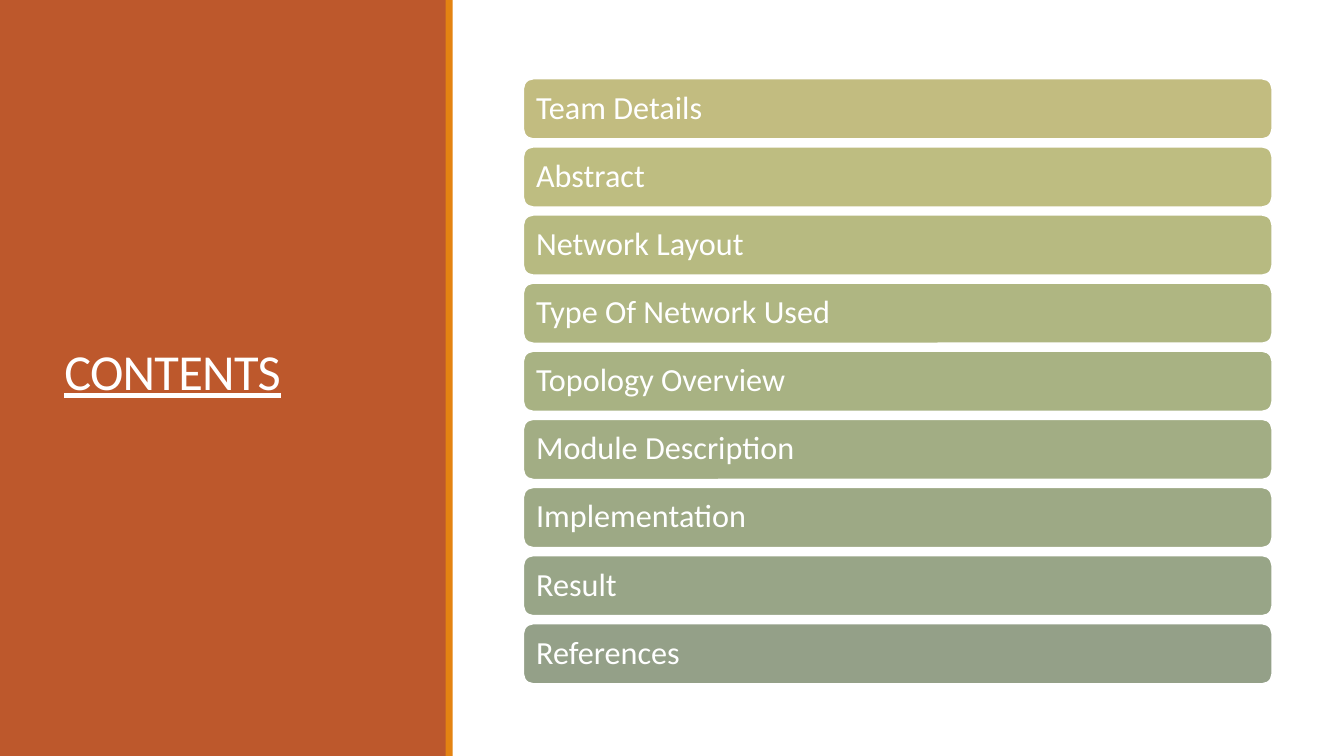
"""Build the contents slide: a title panel beside nine topic bars."""
from pptx import Presentation, util as u
from pptx.dml.color import RGBColor
from pptx.enum import shapes, text

WHITE = RGBColor(0xFF, 0xFF, 0xFF)
RUST = RGBColor(0xBD, 0x58, 0x2C)
ORANGE = RGBColor(0xE4, 0x83, 0x12)
TOPICS = [
    ("Team Details", RGBColor(0xC2, 0xBC, 0x80)),
    ("Abstract", RGBColor(0xBE, 0xBD, 0x81)),
    ("Network Layout", RGBColor(0xB7, 0xBA, 0x81)),
    ("Type Of Network Used", RGBColor(0xAF, 0xB6, 0x82)),
    ("Topology Overview", RGBColor(0xA8, 0xB2, 0x83)),
    ("Module Description", RGBColor(0xA2, 0xAD, 0x84)),
    ("Implementation", RGBColor(0x9D, 0xA9, 0x85)),
    ("Result", RGBColor(0x98, 0xA5, 0x87)),
    ("References", RGBColor(0x94, 0xA0, 0x88)),
]
FIRST_TOP, PITCH = 10.4, 9.01


class ContentsSlide:
    """Hold the style and the slide; lengths are percent of its size."""

    font = "Calibri"

    def __init__(self, deck):
        self.deck = deck
        self.slide = deck.slides.add_slide(deck.slide_layouts[6])

    def box(self, left, top, width, height):
        across, down = self.deck.slide_width / 100, self.deck.slide_height / 100
        return [round(n) for n in (left * across, top * down, width * across, height * down)]

    def label(self, frame, words, size, spacing):
        frame.text = words
        frame.word_wrap = True
        frame.vertical_anchor = text.MSO_ANCHOR.MIDDLE
        line = frame.paragraphs[0]
        line.alignment = text.PP_ALIGN.LEFT
        line.line_spacing = spacing
        run = line.runs[0]
        run.font.name, run.font.size = self.font, u.Pt(size)
        run.font.color.rgb = WHITE
        return run

    def panel(self, place, color, kind=shapes.MSO_SHAPE.RECTANGLE):
        panel = self.slide.shapes.add_shape(kind, *self.box(*place))
        panel.shadow.inherit = False
        panel.fill.solid()
        panel.fill.fore_color.rgb = color
        panel.line.fill.background()
        return panel

    def title(self, place, words):
        heading = self.slide.shapes.add_textbox(*self.box(*place))
        run = self.label(heading.text_frame, words, 36, 0.85)
        run.font.underline = True
        run.font._element.set("spc", "-50")

    def topic(self, place, words, color):
        bar = self.panel(place, color, shapes.MSO_SHAPE.ROUNDED_RECTANGLE)
        bar.line.color.rgb = WHITE
        bar.line.width = u.Pt(1.25)
        frame = bar.text_frame
        self.label(frame, words, 23, 0.9)
        frame.margin_left = frame.margin_right = u.Inches(0.1)


def main():
    deck = Presentation()
    deck.slide_width, deck.slide_height = u.Inches(13.33), u.Inches(7.5)
    contents = ContentsSlide(deck)
    contents.panel((0, 0, 33.2, 100), RUST)
    contents.title((4.05, 7.6, 25.28, 84.13), "CONTENTS")
    contents.panel((33.15, 0, 0.53, 100), ORANGE)
    for row, (words, color) in enumerate(TOPICS):
        contents.topic((38.93, FIRST_TOP + row * PITCH, 55.73, 8), words, color)
    deck.save("out.pptx")


if __name__ == "__main__":
    main()
